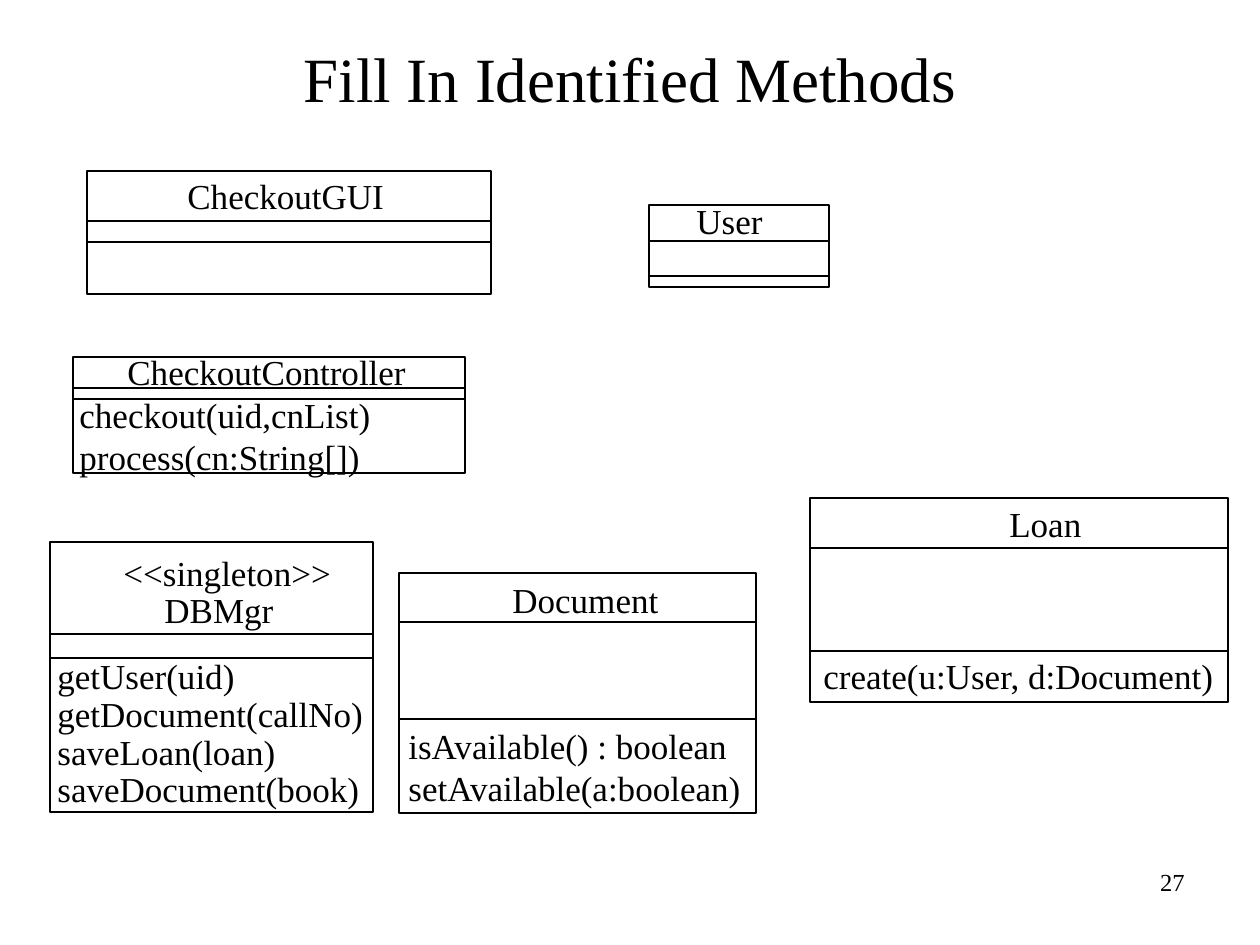
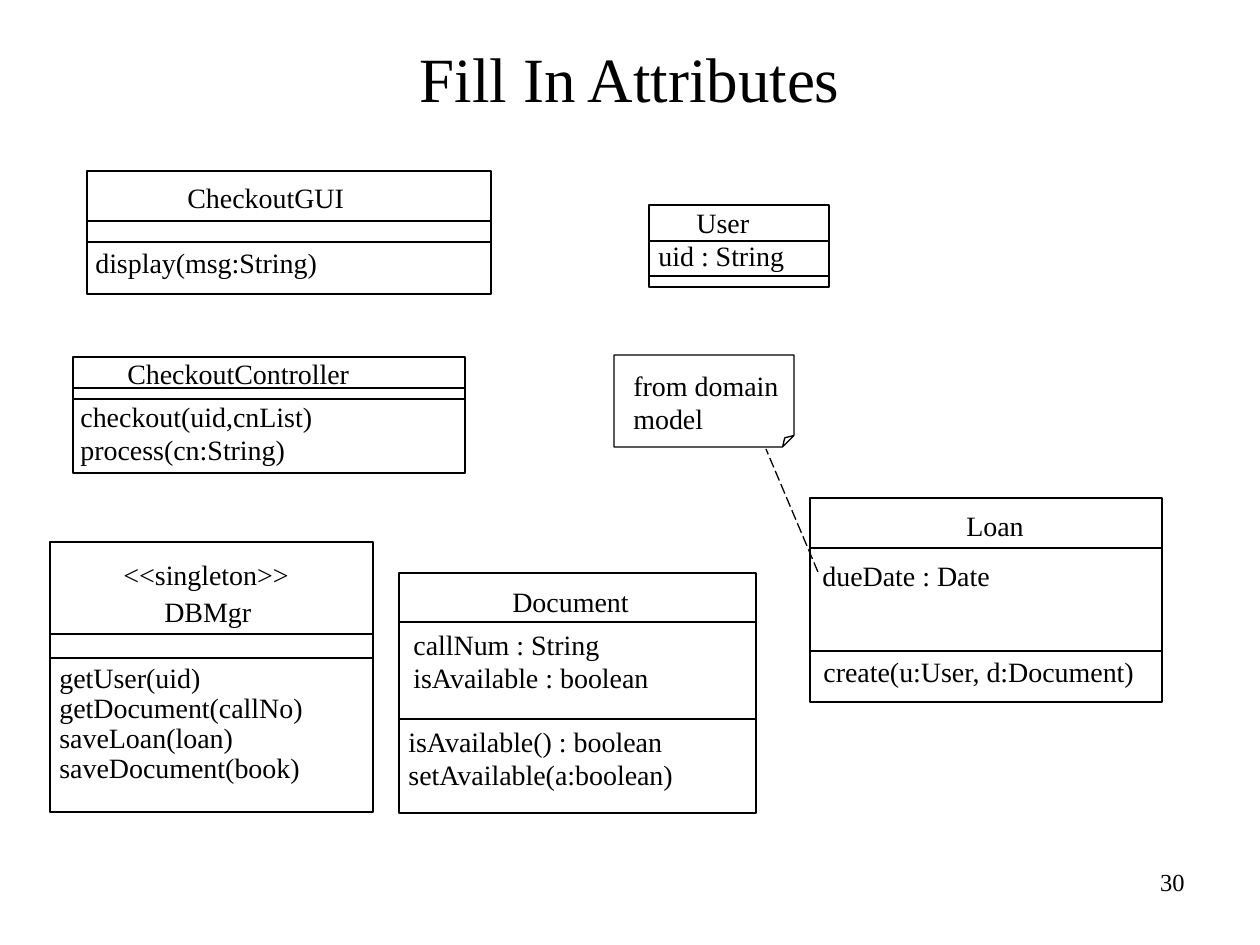
from dataclasses import dataclass

from lxml import etree
from pptx import Presentation
from pptx.dml.color import RGBColor
from pptx.enum.dml import MSO_LINE_DASH_STYLE as DASH
from pptx.enum.shapes import MSO_CONNECTOR as CONNECTOR
from pptx.enum.shapes import MSO_SHAPE as SHAPE
from pptx.enum.text import MSO_ANCHOR as ANCHOR
from pptx.enum.text import MSO_AUTO_SIZE as AUTO_SIZE
from pptx.enum.text import PP_ALIGN as ALIGN
from pptx.oxml.ns import qn
from pptx.util import Emu, Pt

PX_PER_INCH = 126
SLIDE_SIZE = (1260, 945)
COLORS = {"ink": "000000", "paper": "FFFFFF"}
FONT = "Times New Roman"
TITLE_SIZE, NUMBER_SIZE = 36, 14
LARGE, SMALL = 20, 16
PADDING = 25  # left and right text insets together


@dataclass
class ClassBox:
    """A UML class: its frame, the y of its two dividers, its heading labels.

    A label is (text, left, top, width), with top for SMALL and width for LARGE.
    """
    frame: tuple
    dividers: tuple
    labels: list


def class_boxes(loan_width, loan_label_left):
    return [
        ClassBox((649, 205, 180, 82), (241, 276), [("User", 684, 199, 91)]),
        ClassBox((399, 573, 357, 240), (622, 719), [("Document", 500, 578, 171)]),
        ClassBox((810, 498, loan_width, 204), (548, 651),
                 [("Loan", loan_label_left, 502, 97)]),
        ClassBox((50, 542, 323, 270), (634, 658),
                 [("<<singleton>>", 111, 551, 233), ("DBMgr", 152, 588, 134)]),
        ClassBox((87, 171, 404, 123), (221, 242), [("CheckoutGUI", 175, 174, 222)]),
        ClassBox((73, 357, 392, 116), (388, 399),
                 [("CheckoutController", 115, 350, 304)]),
    ]


def px(length):
    return Emu(round(length * 914400 / PX_PER_INCH))


def box(*lengths):
    return [px(length) for length in lengths]


def color(name):
    return RGBColor.from_string(COLORS[name])


def format_paragraph(paragraph, size, align=ALIGN.LEFT, line_spacing=None):
    paragraph.alignment = align
    paragraph.line_spacing = line_spacing
    paragraph.font.name = FONT
    paragraph.font.size = Pt(size)
    paragraph.font.color.rgb = color("ink")


def add_text(slide, lines, left, top, width, size, height=None, **style):
    height = height or round(len(lines) * size * 2.1) + 13
    frame = slide.shapes.add_textbox(*box(left, top, width, height)).text_frame
    frame.word_wrap = True
    frame.text = "\n".join(lines)
    for paragraph in frame.paragraphs:
        format_paragraph(paragraph, size, **style)


def add_outline(slide, kind, frame, weight=0.75):
    shape = slide.shapes.add_shape(kind, *box(*frame))
    shape.shadow.inherit = False
    shape.fill.background()
    shape.line.color.rgb = color("ink")
    shape.line.width = Pt(weight)
    return shape


def add_line(slide, start, end, weight=0.75, dash=None):
    line = slide.shapes.add_connector(CONNECTOR.STRAIGHT, *box(*start, *end))
    line.line.color.rgb = color("ink")
    line.line.width = Pt(weight)
    if dash:
        line.line.dash_style = dash
    etree.SubElement(line._element.spPr, qn("a:effectLst"))


def add_class(slide, class_box, size, weight=0.75):
    left, _, width, _ = class_box.frame
    add_outline(slide, SHAPE.RECTANGLE, class_box.frame, weight)
    for y in class_box.dividers:
        add_line(slide, (left, y), (left + width, y), weight)
    for text, text_left, top, text_width in class_box.labels:
        rise = 6 if size == LARGE else 0
        fitted = round((text_width - PADDING) * size / LARGE) + PADDING + 4
        add_text(slide, [text], text_left, top - rise, fitted, size)


def add_note(slide):
    note = add_outline(slide, SHAPE.FOLDED_CORNER, (614, 355, 180, 92))
    guides = next(note._element.iter(qn("a:avLst")))
    etree.SubElement(guides, qn("a:gd"), name="adj", fmla="val 12500")
    add_text(slide, ["from domain model"], 621, 362, 173, SMALL)
    add_line(slide, (818, 572), (766, 449), dash=DASH.LONG_DASH)


def add_titled_slide(presentation, title, number):
    slide = presentation.slides.add_slide(presentation.slide_layouts[5])
    slide.background.fill.solid()
    slide.background.fill.fore_color.rgb = color("paper")
    heading = slide.shapes.title
    heading.left, heading.top, heading.width, heading.height = box(63, 38, 1134, 78)
    frame = heading.text_frame
    frame.text = title
    frame.auto_size = AUTO_SIZE.NONE
    frame.vertical_anchor = ANCHOR.MIDDLE
    format_paragraph(frame.paragraphs[0], TITLE_SIZE, ALIGN.CENTER)
    add_text(slide, [str(number)], 903, 861, 294, NUMBER_SIZE, height=66,
             align=ALIGN.RIGHT)
    return slide


def add_shared_methods(slide, size, manager_at, manager_width):
    """Methods of DBMgr, Document and Loan, which both slides list."""
    add_text(slide, ["getUser(uid)", "getDocument(callNo)", "saveLoan(loan)",
                     "saveDocument(book)"],
             *manager_at, manager_width, size, line_spacing=0.9)
    add_text(slide, ["isAvailable() : boolean", "setAvailable(a:boolean)"],
             396, 718, 359, size)
    add_text(slide, ["create(u:User, d:Document)"], 811, 648, 432, size)


def add_methods_slide(presentation):
    slide = add_titled_slide(presentation, "Fill In Identified Methods", 27)
    *others, controller = class_boxes(loan_width=418, loan_label_left=997)
    for class_box in others:
        add_class(slide, class_box, LARGE)
    add_class(slide, controller, LARGE, weight=1)
    add_shared_methods(slide, LARGE, (45, 653), 334)
    add_text(slide, ["checkout(uid,cnList)", "process(cn:String[])"],
             67, 387, 320, LARGE)


def add_attributes_slide(presentation):
    slide = add_titled_slide(presentation, "Fill In Attributes", 30)
    for class_box in class_boxes(loan_width=352, loan_label_left=954):
        add_class(slide, class_box, SMALL)
    add_shared_methods(slide, SMALL, (47, 658), 272)
    members = [
        (["display(msg:String)"], 83, 239, 251),
        (["checkout(uid,cnList)", "process(cn:String)"], 68, 393, 261),
        (["uid : String"], 646, 232, 186),
        (["callNum : String", "isAvailable : boolean"], 401, 621, 344),
        (["dueDate : Date"], 810, 552, 197),
    ]
    for lines, left, top, width in members:
        add_text(slide, lines, left, top, width, SMALL)
    add_note(slide)


def main():
    presentation = Presentation()
    presentation.slide_width, presentation.slide_height = box(*SLIDE_SIZE)
    add_methods_slide(presentation)
    add_attributes_slide(presentation)
    presentation.save("out.pptx")


if __name__ == "__main__":
    main()
